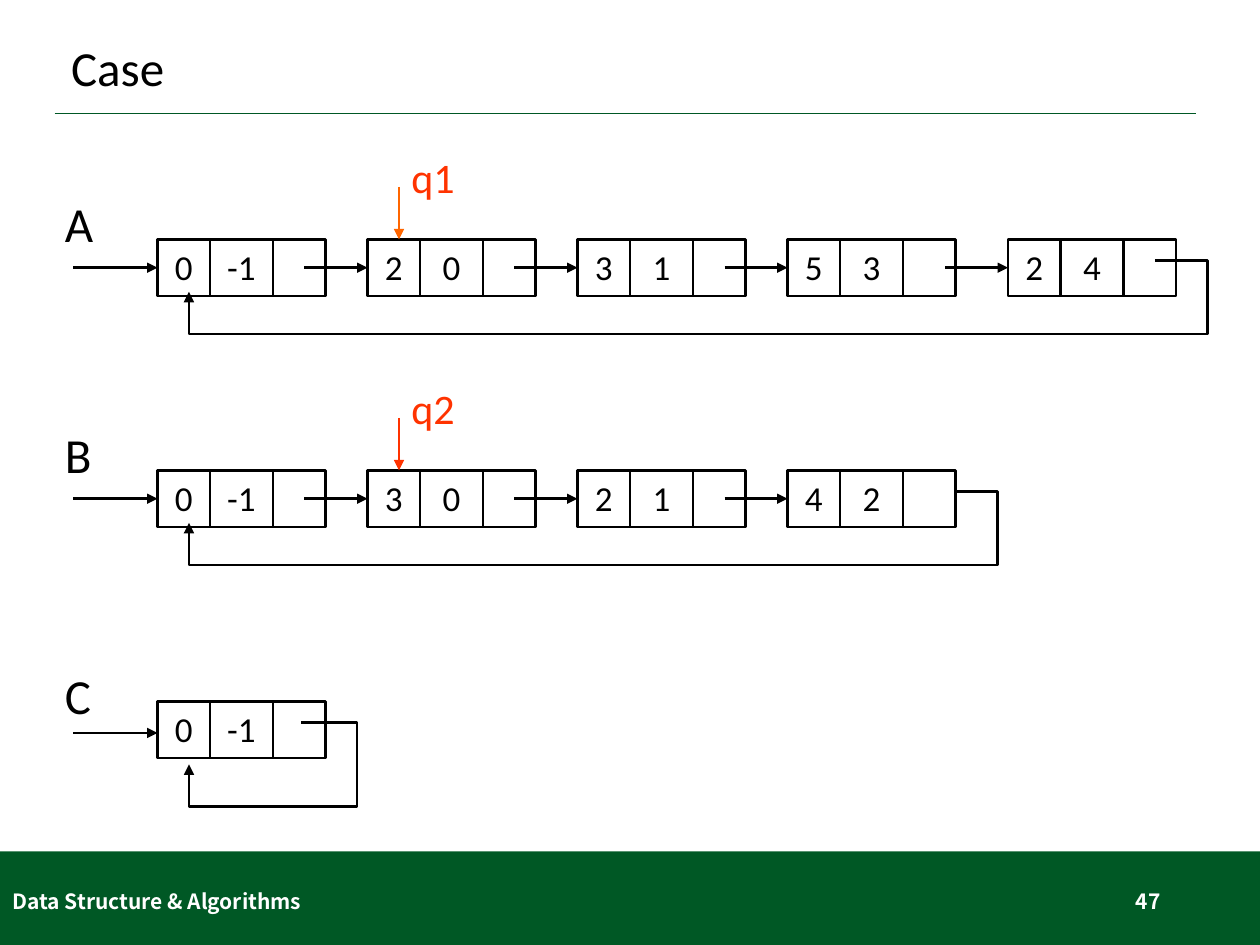
import pptx
import pptx.dml.color
import pptx.enum.shapes
import pptx.enum.text
import pptx.oxml.ns
import pptx.oxml.xmlchemy
import pptx.util

SHAPE = pptx.enum.shapes.MSO_SHAPE
STRAIGHT = pptx.enum.shapes.MSO_CONNECTOR.STRAIGHT
ALIGN = pptx.enum.text.PP_ALIGN
ANCHOR = pptx.enum.text.MSO_ANCHOR
hex_color = pptx.dml.color.RGBColor.from_string

presentation = pptx.Presentation()
presentation.slide_width = pptx.util.Inches(10)
presentation.slide_height = pptx.util.Inches(7.5)
slide = presentation.slides.add_slide(presentation.slide_layouts[6])
shapes = slide.shapes
unit = presentation.slide_width // 120


def write(shape, text, size, color, font="Calibri", bold=False,
          align=ALIGN.LEFT, anchor=ANCHOR.TOP, spacing=1.0):
    frame = shape.text_frame
    paragraph = frame.paragraphs[0]
    run = paragraph.add_run()
    run.text = text
    run.font.color.rgb = hex_color(color)
    formats = [
        (frame, {"word_wrap": True, "vertical_anchor": anchor}),
        (paragraph, {"alignment": align, "line_spacing": spacing}),
        (run.font, {"size": pptx.util.Pt(size), "name": font, "bold": bold}),
    ]
    for target, values in formats:
        for name, value in values.items():
            setattr(target, name, value)


def outline(shape, color, width, arrow=False):
    shape.line.color.rgb = hex_color(color)
    shape.line.width = pptx.util.Pt(width)
    properties = shape._element.spPr
    if arrow:
        tail = pptx.oxml.xmlchemy.OxmlElement("a:tailEnd")
        tail.set("type", "triangle")
        properties.find(pptx.oxml.ns.qn("a:ln")).append(tail)
    properties.append(pptx.oxml.xmlchemy.OxmlElement("a:effectLst"))


band = shapes.add_shape(SHAPE.RECTANGLE, 0, round(81.1 * unit), 120 * unit, round(8.9 * unit))
band.fill.solid()
band.fill.fore_color.rgb = hex_color("005825")
band.line.fill.background()
band.shadow.inherit = False

footer = {"size": 12, "color": "FFFFFF", "font": "Noto Sans CJK SC", "bold": True,
          "anchor": ANCHOR.MIDDLE}
texts = [
    (5.6, 2.8, 108.8, 7.9, "Case",
     {"size": 28, "color": "000000", "anchor": ANCHOR.MIDDLE, "spacing": 0.9}),
    (0, 83.4, 40.6, 4.8, "Data Structure & Algorithms", footer),
    (84.7, 83.4, 27, 4.8, "47", {**footer, "align": ALIGN.RIGHT}),
]
lines = [(5.2, 10.8, 113.9, 10.8, "005825", 1, False)]

chains = [
    {"name": "A", "top": 22.8, "label": -5, "entry": 2.7, "loop": (110, 115, 9, 5),
     "starts": [15, 35, 55, 75, 96],
     "nodes": [("0", "-1"), ("2", "0"), ("3", "1"), ("5", "3"), ("2", "4")],
     "pointer": ("q1", "FF6600")},
    {"name": "B", "top": 44.8, "label": -5, "entry": 2.7, "loop": (91, 95, 9, 5),
     "starts": [15, 35, 55, 75],
     "nodes": [("0", "-1"), ("3", "0"), ("2", "1"), ("4", "2")],
     "pointer": ("q2", "FF3300")},
    {"name": "C", "top": 66.8, "label": -4, "entry": 3, "loop": (28.7, 34, 10, 6),
     "starts": [15], "nodes": [("0", "-1")], "pointer": None},
]
cell_columns = [(0, 5), (5, 6), (11, 5)]

for chain in chains:
    top = chain["top"]
    texts.append((5, top + chain["label"], 10, 6.9, chain["name"],
                  {"size": 28, "color": "000000"}))
    for index, (start, node) in enumerate(zip(chain["starts"], chain["nodes"])):
        for (offset, width), value in zip(cell_columns, node + ("",)):
            cell = shapes.add_shape(SHAPE.RECTANGLE, (start + offset) * unit,
                                    round(top * unit), width * unit, round(5.4 * unit))
            cell.fill.background()
            outline(cell, "000000", 1.5)
            if value:
                write(cell, value, 20, "000000", align=ALIGN.CENTER)
        tail = start - 6 if index else 7
        middle = top + chain["entry"]
        lines.append((tail, middle, start, middle, "000000", 1.5, True))

    left, right, bottom, end = chain["loop"]
    builder = shapes.build_freeform(round(left * unit), round((top + 2) * unit))
    corners = [(right, 2), (right, bottom), (18, bottom), (18, end)]
    builder.add_line_segments(
        [(round(x * unit), round((top + y) * unit)) for x, y in corners], close=False)
    loop = builder.convert_to_shape()
    loop.fill.background()
    outline(loop, "000000", 1.5, arrow=True)

    if chain["pointer"]:
        name, color = chain["pointer"]
        lines.append((38, top - 5, 38, top, color, 0.75, True))
        texts.append((38, top - 9, 10, 6, name, {"size": 24, "color": "FF3300"}))

for *ends, color, width, arrow in lines:
    connector = shapes.add_connector(STRAIGHT, *[round(end * unit) for end in ends])
    outline(connector, color, width, arrow)

for *box, text, style in texts:
    write(shapes.add_textbox(*[round(side * unit) for side in box]), text, **style)

presentation.save("out.pptx")
